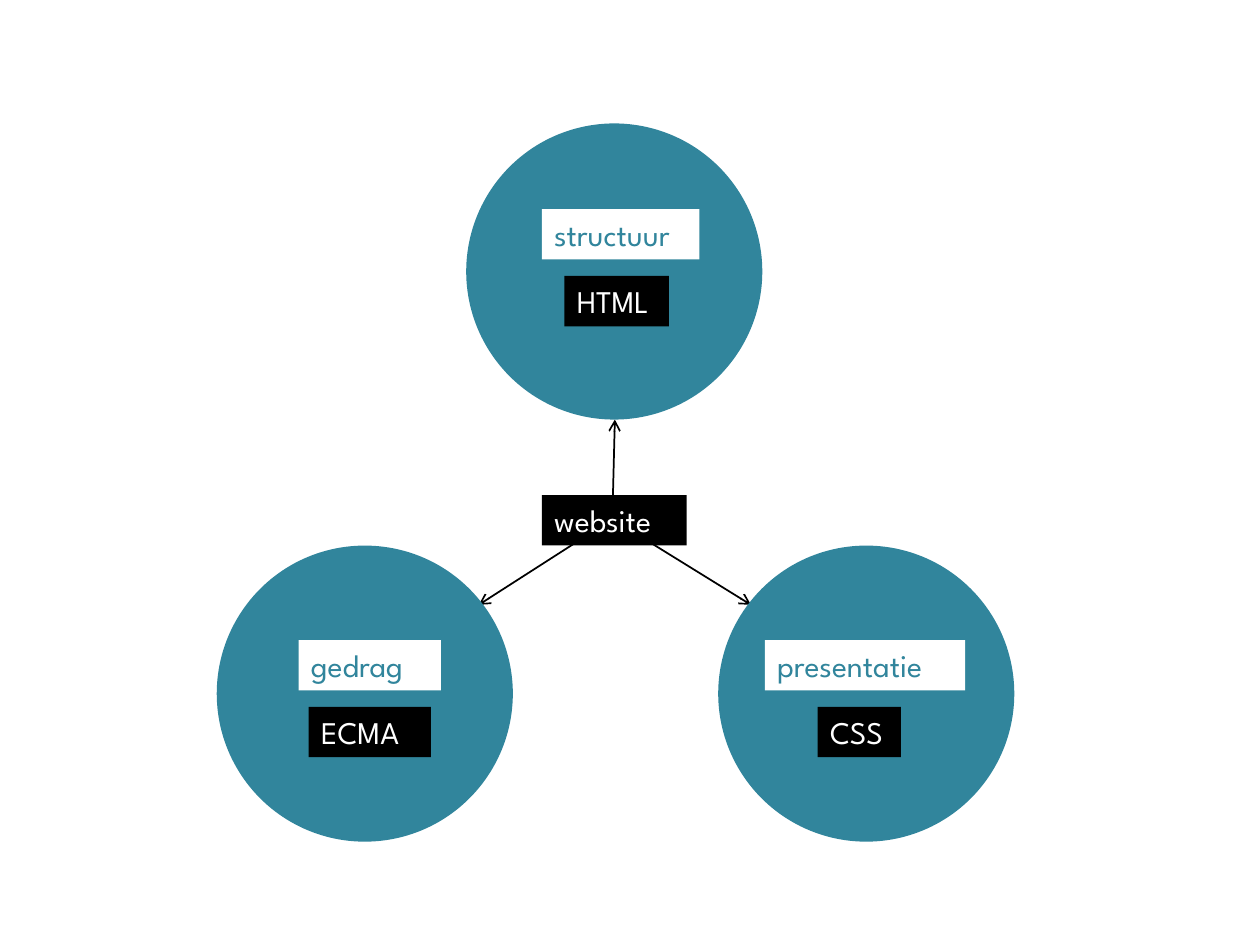
from typing import NamedTuple

from lxml.etree import SubElement
from pptx import Presentation
from pptx.dml.color import RGBColor
from pptx.enum.shapes import MSO_CONNECTOR as Connector, MSO_SHAPE as Preset
from pptx.enum.text import MSO_ANCHOR as Anchor, PP_ALIGN as Align
from pptx.oxml.ns import qn
from pptx.util import Inches, Pt

TEAL = RGBColor(0x31, 0x85, 0x9C)
BLACK = RGBColor(0, 0, 0)
WHITE = RGBColor(255, 255, 255)

COLUMNS, ROWS = 100, 75
CELL = Inches(10) // COLUMNS
DIAMETER = 23.5
LABEL_HEIGHT = 4
LABEL_GAP = 1.3
FONT = {"name": "League Spartan", "size": Pt(18)}
FRAME = {"word_wrap": True, "vertical_anchor": Anchor.TOP}


class Label(NamedTuple):
    text: str
    column: float
    width: float


class Topic(NamedTuple):
    """A circle, the end of its arrow, and its role above its language."""
    column: float
    row: float
    arrow_end: tuple[float, float]
    label_row: float
    role: Label
    language: Label


TOPICS = [
    Topic(17.2, 43.3, (38, 48), 50.8,
          Label("gedrag", 23.7, 11.3), Label("ECMA", 24.5, 9.7)),
    Topic(37, 9.8, (48.8, 33.3), 16.6,
          Label("structuur", 43, 12.5), Label("HTML", 44.8, 8.3)),
    Topic(57, 43.3, (59.6, 48), 50.8,
          Label("presentatie", 60.7, 15.9), Label("CSS", 64.9, 6.6)),
]
WEBSITE = Label("website", 43, 11.5)
WEBSITE_ROW = 39.3
ARROW_START = (48.6, 41.2)


def grid(cells: float) -> int:
    return round(cells * CELL)


def add_block(page, preset, column: float, row: float, width: float,
              height: float, fill: RGBColor):
    block = page.shapes.add_shape(preset, *map(grid, (column, row, width, height)))
    block.shadow.inherit = False
    block.fill.solid()
    block.fill.fore_color.rgb = fill
    block.line.fill.background()
    return block


def add_label(page, label: Label, row: float, fill: RGBColor, ink: RGBColor) -> None:
    box = add_block(page, Preset.RECTANGLE, label.column, row,
                    label.width, LABEL_HEIGHT, fill)
    for name, value in FRAME.items():
        setattr(box.text_frame, name, value)
    para = box.text_frame.paragraphs[0]
    para.alignment = Align.LEFT
    span = para.add_run()
    span.text = label.text
    for name, value in FONT.items():
        setattr(span.font, name, value)
    span.font.color.rgb = ink


def add_arrow(page, start: tuple[float, float], end: tuple[float, float]) -> None:
    arrow = page.shapes.add_connector(Connector.STRAIGHT, *map(grid, start + end))
    arrow.line.color.rgb = BLACK
    arrow.line.width = Pt(1)
    SubElement(arrow.line._get_or_add_ln(), qn("a:tailEnd"), type="arrow")
    SubElement(arrow._element.spPr, qn("a:effectLst"))


def main() -> None:
    deck = Presentation()
    deck.slide_width, deck.slide_height = grid(COLUMNS), grid(ROWS)
    page = deck.slides.add_slide(deck.slide_layouts.get_by_name("Blank"))

    for topic in TOPICS:
        add_arrow(page, ARROW_START, topic.arrow_end)
    for topic in TOPICS:
        add_block(page, Preset.OVAL, topic.column, topic.row, DIAMETER, DIAMETER, TEAL)
        add_label(page, topic.role, topic.label_row, WHITE, TEAL)
        language_row = topic.label_row + LABEL_HEIGHT + LABEL_GAP
        add_label(page, topic.language, language_row, BLACK, WHITE)
    add_label(page, WEBSITE, WEBSITE_ROW, BLACK, WHITE)

    deck.save("out.pptx")


if __name__ == "__main__":
    main()
